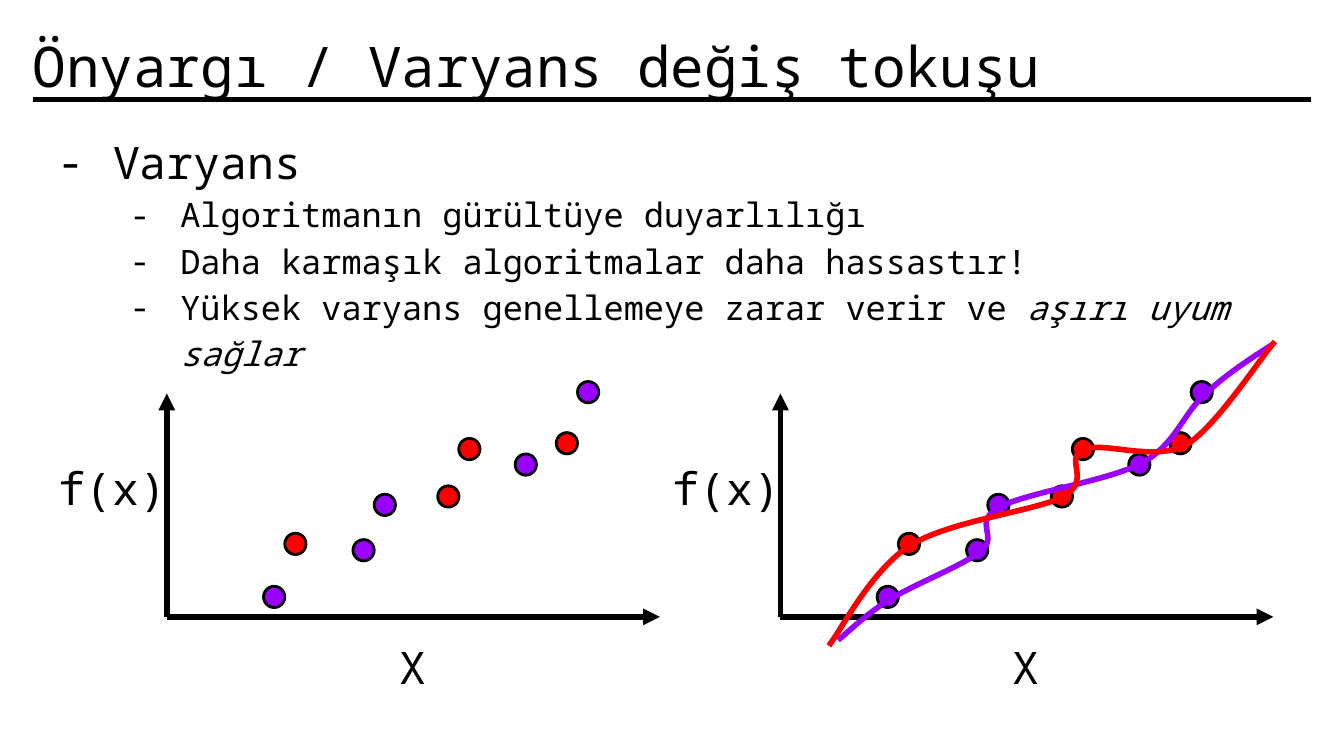
from lxml.etree import SubElement
from pptx import Presentation
from pptx.dml.color import RGBColor
from pptx.enum.shapes import MSO_CONNECTOR, MSO_SHAPE
from pptx.enum.text import MSO_ANCHOR, MSO_AUTO_SIZE, PP_ALIGN
from pptx.oxml.ns import qn
from pptx.util import Pt

BLACK = RGBColor(0, 0, 0)
PURPLE = RGBColor(0x99, 0x00, 0xFF)
RED = RGBColor(0xFF, 0x00, 0x00)
FONT = "Noto Sans Mono"
INSET = Pt(7.2)


def format_text(frame, size, align=PP_ALIGN.LEFT):
    frame.word_wrap = True
    frame.auto_size = MSO_AUTO_SIZE.NONE
    frame.margin_left = frame.margin_right = INSET
    frame.margin_top = frame.margin_bottom = INSET
    for paragraph in frame.paragraphs:
        paragraph.alignment = align
        for run in paragraph.runs:
            run.font.name = FONT
            run.font.size = Pt(size)
            run.font.color.rgb = BLACK


def add_line(shapes, start, end, width, arrow=False):
    line = shapes.add_connector(
        MSO_CONNECTOR.STRAIGHT, Pt(start[0]), Pt(start[1]), Pt(end[0]), Pt(end[1]))
    line.line.color.rgb = BLACK
    line.line.width = Pt(width)
    if arrow:
        SubElement(line.line._get_or_add_ln(), qn("a:tailEnd"), type="triangle")
    SubElement(line._element.spPr, qn("a:effectLst"))


prs = Presentation()
prs.slide_width, prs.slide_height = Pt(720), Pt(405)
slide = prs.slides.add_slide(prs.slide_layouts[5])

title = slide.shapes.title
title.left, title.top, title.width, title.height = Pt(10.2), Pt(15.2), Pt(699.6), Pt(45)
title.text_frame.text = "Önyargı / Varyans değiş tokuşu"
title.text_frame.vertical_anchor = MSO_ANCHOR.BOTTOM
format_text(title.text_frame, 30)
add_line(slide.shapes, (17.5, 53.3), (702.5, 53.3), 2.25)

variance = slide.shapes.add_textbox(Pt(17.5), Pt(60.5), Pt(685), Pt(335)).text_frame
variance.text = "Varyans"
for point in ("Algoritmanın gürültüye duyarlılığı",
              "Daha karmaşık algoritmalar daha hassastır!",
              "Yüksek varyans genellemeye zarar verir ve "):
    paragraph = variance.add_paragraph()
    paragraph.text = point
    paragraph.level = 1
overfitting = variance.paragraphs[-1].add_run()
overfitting.text = "aşırı uyum sağlar"
overfitting.font.italic = True
format_text(variance, 18)
variance.paragraphs[0].runs[0].font.size = Pt(24)
for paragraph in variance.paragraphs:
    margin, indent = (72, -27) if paragraph.level else (36, -30)
    properties = paragraph._p.get_or_add_pPr()
    properties.set("marL", str(Pt(margin)))
    properties.set("indent", str(Pt(indent)))
    bullet_color = SubElement(properties, qn("a:buClr"))
    SubElement(bullet_color, qn("a:srgbClr"), val=str(BLACK))
    SubElement(properties, qn("a:buFont"), typeface=FONT)
    SubElement(properties, qn("a:buChar"), char="-")
    paragraph.line_spacing = 1.15

DOT = 11.4
samples = [
    (141.2, 314.1, PURPLE), (152.6, 285.7, RED), (189.1, 289.1, PURPLE),
    (200.5, 264.8, PURPLE), (234.5, 260.3, RED), (245.8, 234.9, RED),
    (276, 243.2, PURPLE), (298, 231.8, RED), (309.4, 204.4, PURPLE),
]
for offset in (0, 328.7):
    plot = slide.shapes.add_group_shape().shapes
    for label, left, top, width, align in (
            ("f(x)", 24.5, 239.8, 116.6, PP_ALIGN.LEFT),
            ("X", 135.4, 335.5, 171.4, PP_ALIGN.CENTER)):
        frame = plot.add_textbox(Pt(left + offset), Pt(top), Pt(width), Pt(41)).text_frame
        frame.text = label
        format_text(frame, 24, align)
    for left, top, color in samples:
        dot = plot.add_shape(MSO_SHAPE.OVAL, Pt(left + offset), Pt(top), Pt(DOT), Pt(DOT))
        dot.shadow.inherit = False
        dot.fill.solid()
        dot.fill.fore_color.rgb = color
        dot.line.color.rgb = BLACK
        dot.line.width = Pt(1.5)
    origin = (89.4 + offset, 330.5)
    add_line(plot, origin, (origin[0], 210.8), 3, arrow=True)
    add_line(plot, origin, (353.5 + offset, origin[1]), 3, arrow=True)

fits = [
    (PURPLE, [
        (448.6, 342.7), (453.6, 339.1), (463.7, 329), (476.6, 321.1),
        (489.6, 313.2), (515.5, 303.1), (525.6, 295.2), (535, 286.6),
        (520.6, 280.1), (535, 272.2), (549.4, 264.2), (593.3, 258.5),
        (612, 248.4), (630, 238.3), (634.3, 221), (645.8, 211),
        (657.4, 200.2), (675.4, 189.4), (681.1, 185)]),
    (RED, [
        (443.5, 345.6), (450.7, 337), (467.3, 305.3), (488.2, 291.6),
        (509, 278.6), (554.4, 274.3), (570.2, 265.7), (585.4, 257),
        (569.5, 245.5), (580.3, 241.2), (591.1, 236.2), (618.5, 247.7),
        (635.8, 237.6), (652.3, 228.2), (674.6, 192.2), (682.6, 182.9)]),
]
for color, points in fits:
    builder = slide.shapes.build_freeform(*points[0], scale=Pt(1))
    builder.add_line_segments(points[1:], close=False)
    curve = builder.convert_to_shape()
    curve.shadow.inherit = False
    curve.fill.background()
    curve.line.color.rgb = color
    curve.line.width = Pt(3)
    segments = list(curve._element.iter(qn("a:lnTo")))
    for first in range(0, len(segments), 3):
        bezier = SubElement(segments[first].getparent(), qn("a:cubicBezTo"))
        for segment in segments[first:first + 3]:
            bezier.append(segment[0])
            segment.getparent().remove(segment)

prs.save("out.pptx")
